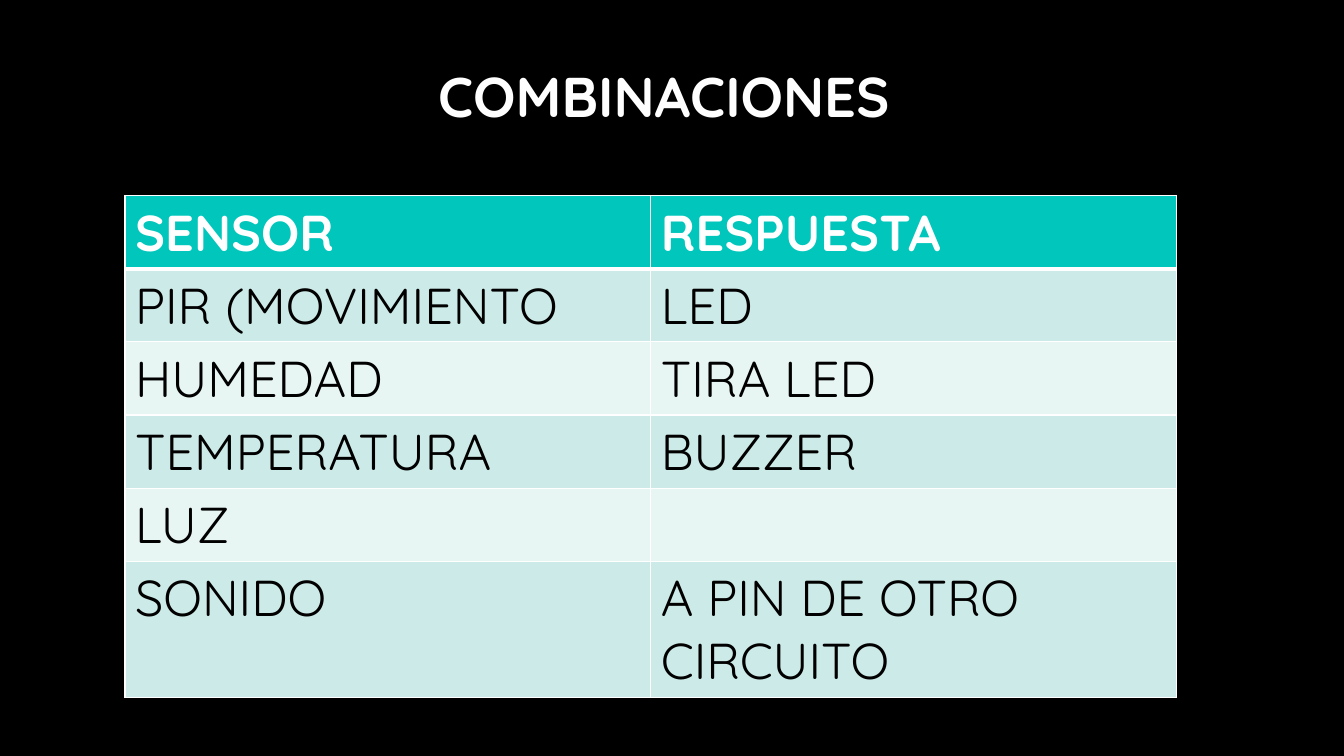
from lxml import etree
from pptx import Presentation
from pptx.dml.color import RGBColor
from pptx.enum import text
from pptx.oxml import ns
from pptx.util import Inches, Pt

FONT = "Quicksand"
COLORS = {
    "background": "000000",
    "title": "FEFEFE",
    "header": "00C6BB",
    "header_text": "FFFFFF",
    "odd_row": "CCEAE7",
    "even_row": "E7F5F3",
    "body_text": "000000",
    "border": "FFFFFF",
}
COMBINATIONS = [
    ("SENSOR", "RESPUESTA"),
    ("PIR (MOVIMIENTO", "LED"),
    ("HUMEDAD", "TIRA LED"),
    ("TEMPERATURA", "BUZZER"),
    ("LUZ", ""),
    ("SONIDO", "A PIN DE OTRO CIRCUITO"),
]


def color(name):
    return RGBColor.from_string(COLORS[name])


def style_font(font, size, color_name, bold):
    font.name = FONT
    font.size = Pt(size)
    font.bold = bold
    font.color.rgb = color(color_name)


def add_title(slide, wording):
    title = slide.shapes.title
    title.left, title.top = Inches(1.03), Inches(0.27)
    title.width, title.height = Inches(11.11), Inches(1.34)
    frame = title.text_frame
    frame.text = wording
    frame.vertical_anchor = text.MSO_ANCHOR.MIDDLE
    heading = frame.paragraphs[0]
    heading.alignment = text.PP_ALIGN.CENTER
    style_font(heading.runs[0].font, 40, "title", True)


def set_borders(cell, widths):
    """Draw the cell's edges; widths maps L, R, T and B to points."""
    properties = cell._tc.get_or_add_tcPr()
    for position, (side, width) in enumerate(widths.items()):
        line = etree.Element(ns.qn(f"a:ln{side}"), w=str(Pt(width)))
        fill = etree.SubElement(line, ns.qn("a:solidFill"))
        etree.SubElement(fill, ns.qn("a:srgbClr"), val=COLORS["border"])
        properties.insert(position, line)


def fill_cell(cell, wording, row):
    is_header = row == 0
    fill_name = "header" if is_header else "odd_row" if row % 2 else "even_row"
    cell.fill.solid()
    cell.fill.fore_color.rgb = color(fill_name)
    set_borders(cell, {"L": 1, "R": 1,
                       "T": 3 if row == 1 else 1,
                       "B": 3 if is_header else 1})
    if wording:
        cell.text_frame.text = wording
        style_font(cell.text_frame.paragraphs[0].runs[0].font, 36,
                   "header_text" if is_header else "body_text", is_header)


def add_combinations_table(slide, combinations):
    row_height, last_height = Inches(0.72), Inches(1.35)
    height = row_height * (len(combinations) - 1) + last_height
    table = slide.shapes.add_table(
        len(combinations), 2, Inches(1.24), Inches(1.94),
        Inches(10.43), height).table
    for row, wordings in enumerate(combinations):
        table.rows[row].height = row_height
        for column, wording in enumerate(wordings):
            fill_cell(table.cell(row, column), wording, row)
    # The last answer takes two lines
    table.rows[len(combinations) - 1].height = last_height


def main():
    deck = Presentation()
    deck.slide_width, deck.slide_height = Inches(13.33), Inches(7.5)
    slide = deck.slides.add_slide(deck.slide_layouts[5])

    # Background
    slide.background.fill.solid()
    slide.background.fill.fore_color.rgb = color("background")

    # Title and table
    add_title(slide, "COMBINACIONES")
    add_combinations_table(slide, COMBINATIONS)

    deck.save("out.pptx")


if __name__ == "__main__":
    main()
